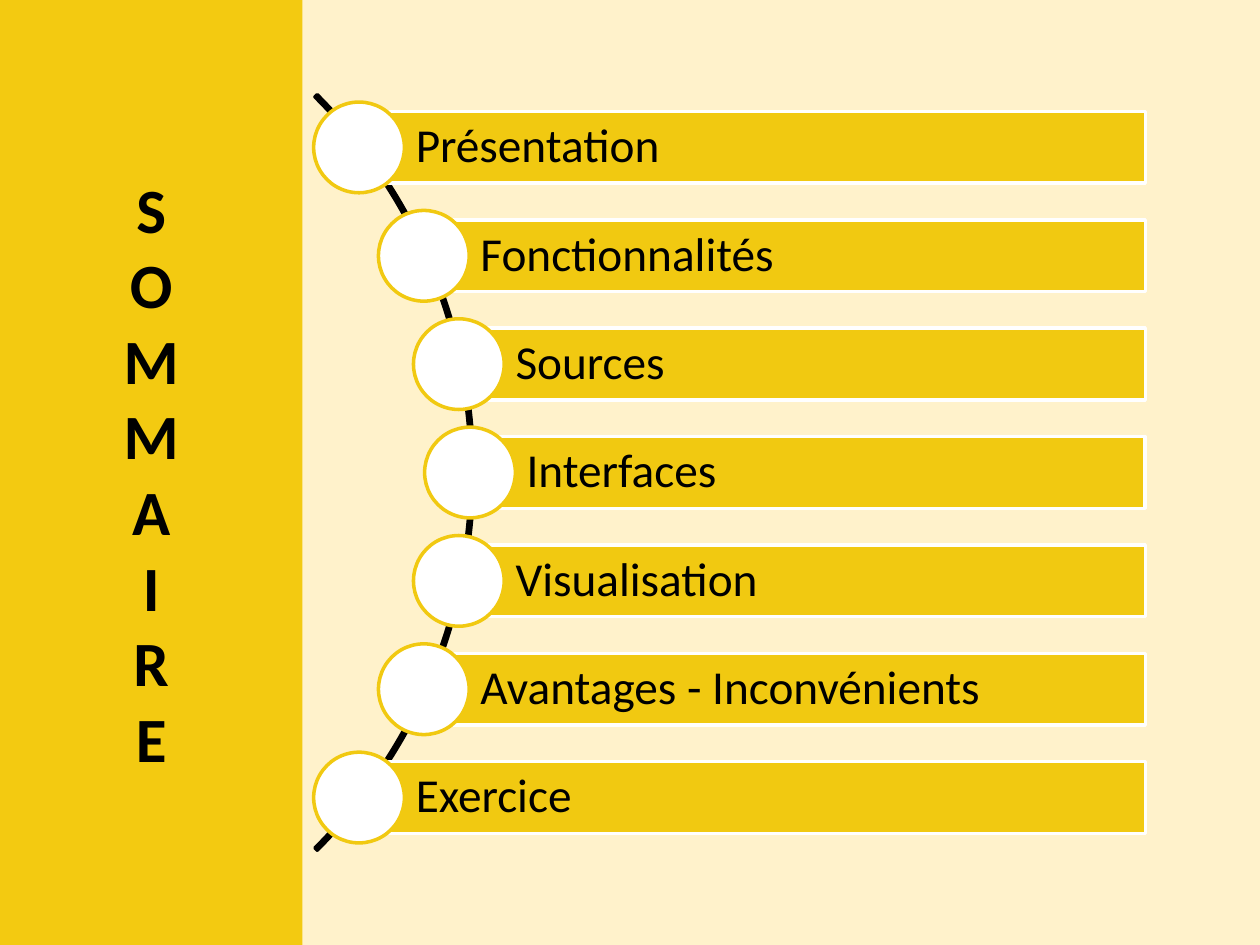
"""Build a summary slide: a vertical heading and seven topics along an arc."""
from dataclasses import dataclass
from math import sqrt

from pptx import Presentation
from pptx.dml.color import RGBColor
from pptx.enum.shapes import MSO_SHAPE
from pptx.enum.text import MSO_ANCHOR, PP_ALIGN
from pptx.util import Inches, Pt

RECT, OVAL, ARC = MSO_SHAPE.RECTANGLE, MSO_SHAPE.OVAL, MSO_SHAPE.BLOCK_ARC
MIDDLE, LEFT, CENTER = MSO_ANCHOR.MIDDLE, PP_ALIGN.LEFT, PP_ALIGN.CENTER

CREAM = RGBColor(0xFF, 0xF2, 0xCB)
GOLD = RGBColor(0xF3, 0xCA, 0x11)
AMBER = RGBColor(0xF1, 0xC9, 0x11)
BLACK = RGBColor(0, 0, 0)
WHITE = RGBColor(0xFF, 0xFF, 0xFF)

TOPICS = ("Présentation", "Fonctionnalités", "Sources", "Interfaces",
          "Visualisation", "Avantages - Inconvénients", "Exercice")
MID_X, MID_Y, RADIUS = -0.49, 3.75, 4.22
STEP, RIGHT, BAR, DOT = 0.86, 9.09, 0.57, 0.72


@dataclass
class Box:
    x: float
    y: float
    w: float
    h: float

    def lengths(self) -> tuple:
        return tuple(Inches(n) for n in (self.x, self.y, self.w, self.h))


def draw(parent, kind, box: Box, fill: RGBColor | None = None,
         line: RGBColor | None = None):
    shape = parent.shapes.add_shape(kind, *box.lengths())
    shape.shadow.inherit = False
    for part, color in ((shape.fill, fill), (shape.line.fill, line)):
        if color is None:
            part.background()
        else:
            part.solid()
            part.fore_color.rgb = color
    if line is not None:
        shape.line.width = Pt(2)
    return shape


def write(shape, text: str, *, size: float, bold: bool = False, align=LEFT,
          space: float = 1.0, inset: float = 0.1, pad: float = 0.05,
          turn: str = "horz") -> None:
    frame = shape.text_frame
    frame.text = text
    frame.word_wrap = True
    frame.vertical_anchor = MIDDLE
    frame.margin_left = Inches(inset)
    frame.margin_right = frame.margin_top = frame.margin_bottom = Inches(pad)
    shape.element.txBody.bodyPr.set("vert", turn)
    para = frame.paragraphs[0]
    para.alignment = align
    para.line_spacing = space
    font = para.runs[0].font
    font.name, font.size, font.bold = "Calibri", Pt(size), bold
    font.color.rgb = BLACK


def add_topic(group, text: str, row: int) -> None:
    drop = (row - len(TOPICS) // 2) * STEP
    x, y = MID_X + sqrt(RADIUS ** 2 - drop ** 2), MID_Y + drop
    bar = draw(group, RECT, Box(x, y - BAR / 2, RIGHT - x, BAR), AMBER, WHITE)
    write(bar, text, size=27, space=0.9, inset=0.45, pad=0.07)
    draw(group, OVAL, Box(x - DOT / 2, y - DOT / 2, DOT, DOT), WHITE, AMBER)


def main() -> None:
    deck = Presentation()
    deck.slide_width, deck.slide_height = Inches(10), Inches(7.5)
    slide = deck.slides.add_slide(deck.slide_layouts[6])
    slide.background.fill.solid()
    slide.background.fill.fore_color.rgb = CREAM
    panel = draw(slide, RECT, Box(0, 0, 2.4, 7.5), GOLD)
    write(panel, "SOMMAIRE", size=36, bold=True, align=CENTER,
          inset=0.05, turn="wordArtVert")
    group = slide.shapes.add_group_shape()
    arc = draw(group, ARC, Box(-4.72, -0.49, 8.48, 8.48), line=BLACK)
    for i, value in enumerate((189, 27, 0.003)):
        arc.adjustments[i] = value
    for row, text in enumerate(TOPICS):
        add_topic(group, text, row)
    deck.save("out.pptx")


if __name__ == "__main__":
    main()
